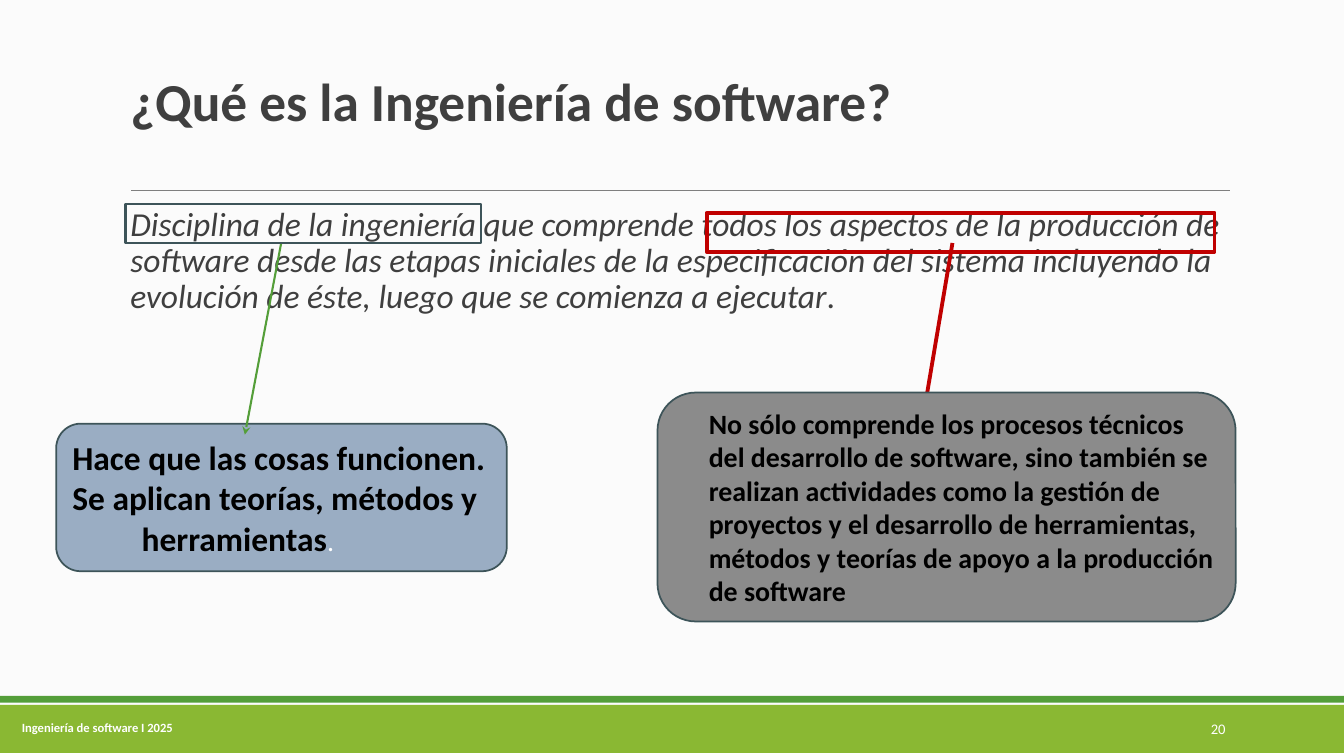
from pptx import Presentation
from pptx import util as u
from pptx.dml.color import RGBColor
from pptx.enum import shapes, text
from pptx.oxml.ns import qn
from lxml import etree

WIDTH, HEIGHT = u.Inches(13.39), u.Inches(7.5)
COLORS = {
    "paper": "FBFBFB", "lime": "8AB833", "green": "549E39", "rule": "7F7F7F",
    "ink": "3F3F3F", "white": "FFFFFF", "black": "000000", "red": "C00000",
    "blue": "9AADC3", "gray": "8B8B8B", "slate": "3D5459",
}
RECT = shapes.MSO_SHAPE.RECTANGLE
ROUND = shapes.MSO_SHAPE.ROUNDED_RECTANGLE


def rgb(name):
    return RGBColor.from_string(COLORS[name])


def share(x, y):
    return round(WIDTH * x / 100), round(HEIGHT * y / 100)


def area(x, y, w, h):
    return share(x, y) + share(w, h)


def set_line(line, color, width):
    line.color.rgb = rgb(color)
    line.width = u.Pt(width)


def set_attrs(obj, formats):
    for name, value in formats.items():
        setattr(obj, name, value)


def write(sp, paragraphs, frame=None, para=None, margin=0, indent=0):
    tf = sp.text_frame
    set_attrs(tf, {"word_wrap": True, "auto_size": text.MSO_AUTO_SIZE.NONE,
                   "vertical_anchor": text.MSO_ANCHOR.MIDDLE, **(frame or {})})
    for i, runs in enumerate(paragraphs):
        p = tf.paragraphs[0] if i == 0 else tf.add_paragraph()
        set_attrs(p, {"alignment": text.PP_ALIGN.LEFT, **(para or {})})
        pPr = p._p.get_or_add_pPr()
        pPr.set("marL", str(u.Inches(margin)))
        pPr.set("indent", str(u.Inches(indent)))
        for words, color, size, formats in runs:
            r = p.add_run()
            r.text = words
            set_attrs(r.font, {"name": "Calibri", "size": u.Pt(size), **formats})
            r.font.color.rgb = rgb(color)


def add_box(s, kind, place, fill=None, line=None):
    sp = s.shapes.add_shape(kind, *area(*place))
    sp.shadow.inherit = False
    if fill:
        sp.fill.solid()
        sp.fill.fore_color.rgb = rgb(fill)
    else:
        sp.fill.background()
    if line:
        set_line(sp.line, *line)
    else:
        sp.line.fill.background()
    return sp


def add_text(s, place, paragraphs, **formats):
    sp = s.shapes.add_textbox(*area(*place))
    write(sp, paragraphs, **formats)


def add_line(s, start, end, color, width, head=None):
    c = s.shapes.add_connector(shapes.MSO_CONNECTOR.STRAIGHT,
                               *share(*start), *share(*end))
    set_line(c.line, color, width)
    if head:
        etree.SubElement(c.line._get_or_add_ln(), qn("a:tailEnd"), type=head)
    etree.SubElement(c._element.spPr, qn("a:effectLst"))


def main():
    prs = Presentation()
    prs.slide_width, prs.slide_height = WIDTH, HEIGHT
    s = prs.slides.add_slide(prs.slide_layouts[5])
    s.background.fill.solid()
    s.background.fill.fore_color.rgb = rgb("paper")
    bold, italic = {"bold": True}, {"italic": True}
    no_insets = dict.fromkeys(
        ["margin_left", "margin_top", "margin_right", "margin_bottom"], 0)

    add_box(s, RECT, (0, 93.6, 100, 6.4), "lime")
    add_box(s, RECT, (0, 92.4, 100, 0.93), "green")
    add_line(s, (9.78, 25.33), (91.49, 25.33), "rule", 0.75)
    add_text(s, (0, 94, 14.49, 5.33),
             [[("Ingeniería de software I 2025", "white", 9, bold)]],
             para={"alignment": text.PP_ALIGN.CENTER})

    title = s.shapes.title
    title.left, title.top, title.width, title.height = area(8.96, 4.13, 82.45, 14.13)
    write(title, [[("¿Qué es la Ingeniería de software?", "ink", 38.3, bold)]],
          frame={"vertical_anchor": text.MSO_ANCHOR.BOTTOM},
          para={"line_spacing": 0.85})

    definition = (
        "Disciplina de la ingeniería que comprende todos los aspectos de la "
        "producción de software desde las etapas iniciales de la especificación "
        "del sistema incluyendo la evolución de éste, luego que se comienza a ejecutar")
    add_text(s, (8.96, 26.93, 82.45, 58.67),
             [[(definition, "ink", 24, italic), (".", "ink", 24, {})]],
             frame={"vertical_anchor": text.MSO_ANCHOR.TOP,
                    "margin_left": 0, "margin_right": 0},
             para={"line_spacing": 0.9}, margin=0.1)
    add_text(s, (81.18, 94.13, 10.75, 5.33), [[("20", "white", 10.5, {})]],
             para={"alignment": text.PP_ALIGN.RIGHT})

    add_box(s, RECT, (52.58, 28.27, 37.79, 5.2), line=("red", 2.75))
    add_line(s, (70.87, 32.27), (68.93, 52.8), "red", 2.75)

    purpose = add_box(s, ROUND, (4.18, 56.27, 33.53, 19.6), "blue", ("slate", 1.25))
    write(purpose,
          [[("Hace que las cosas funcionen.", "black", 24, bold)],
           [("Se aplican teorías, métodos y herramientas", "black", 24, bold),
            (".", "white", 20, {})]],
          frame=no_insets, margin=0.78, indent=-0.69)
    add_line(s, (20.91, 32.4), (18.22, 57.73), "green", 1.5, "stealth")
    add_box(s, RECT, (9.34, 27.07, 26.44, 5.2), line=("slate", 1.5))

    scope = add_box(s, ROUND, (48.92, 52.13, 43.02, 30.4), "gray", ("slate", 1.25))
    activities = (
        "No sólo comprende los procesos técnicos del desarrollo de software, sino "
        "también se realizan actividades como la gestión de proyectos y el desarrollo "
        "de herramientas, métodos y teorías de apoyo a la producción de software")
    write(scope, [[(activities, "black", 20, bold)]],
          frame={**no_insets, "margin_right": u.Inches(0.04)}, margin=0.4)

    prs.save("out.pptx")


if __name__ == "__main__":
    main()
